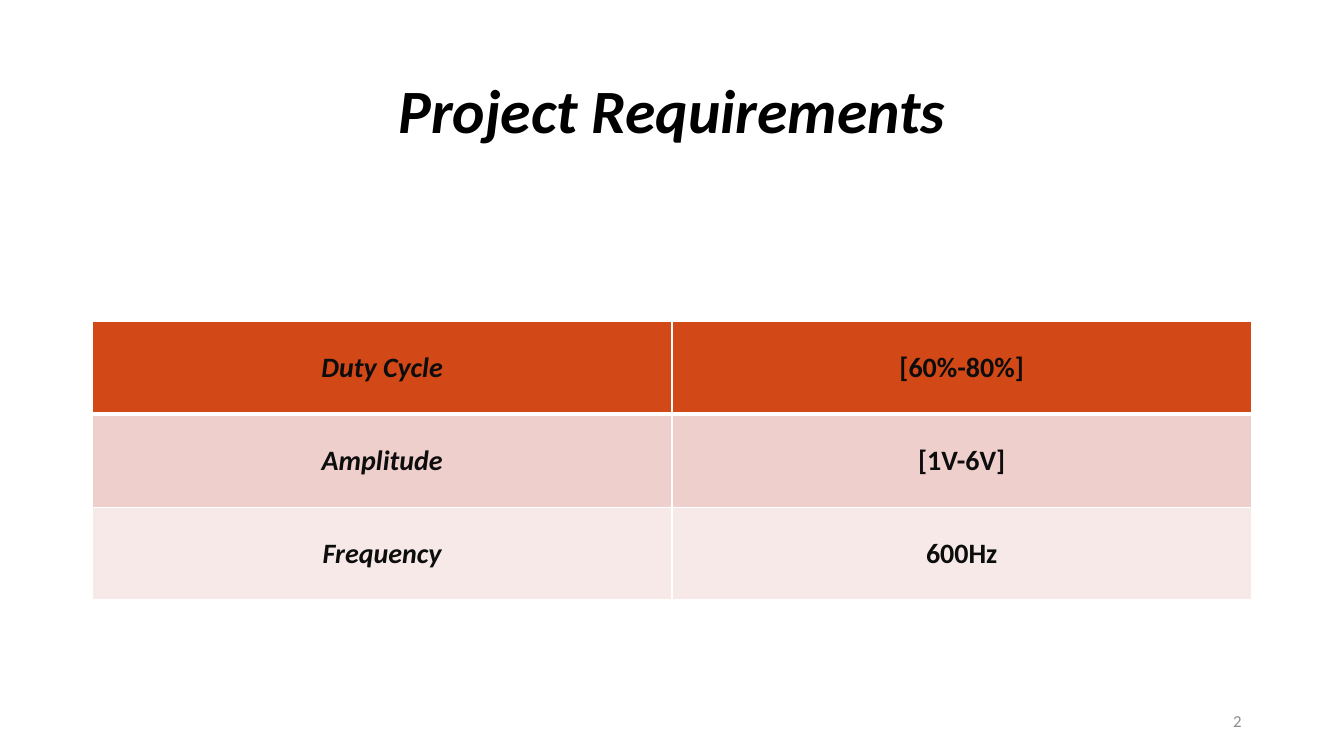
from dataclasses import dataclass

from lxml import etree
from pptx import Presentation
from pptx.dml.color import RGBColor
from pptx.enum.text import MSO_ANCHOR, PP_ALIGN
from pptx.oxml.ns import qn
from pptx.slide import Slide
from pptx.table import _Cell
from pptx.text.text import TextFrame
from pptx.util import Cm, Pt

CENTER, RIGHT = PP_ALIGN.CENTER, PP_ALIGN.RIGHT
MIDDLE = MSO_ANCHOR.MIDDLE

BLACK = RGBColor(0x00, 0x00, 0x00)
WHITE = RGBColor(0xFF, 0xFF, 0xFF)
INK = RGBColor(0x0D, 0x0D, 0x0D)
GRAY = RGBColor(0x8C, 0x8C, 0x8C)
ORANGE = RGBColor(0xD3, 0x48, 0x17)
ROSE = RGBColor(0xEF, 0xCF, 0xCC)
PALE_ROSE = RGBColor(0xF7, 0xE9, 0xE8)

FONT = "Calibri"
LEFT, WIDTH = 2.33, 29.21
ROW_HEIGHT = 2.34


@dataclass
class Requirement:
    name: str
    value: str
    fill: RGBColor
    top_line: float = 1
    bottom_line: float = 1


REQUIREMENTS = [
    Requirement("Duty Cycle", "[60%-80%]", ORANGE, bottom_line=3),
    Requirement("Amplitude", "[1V-6V]", ROSE, top_line=3),
    Requirement("Frequency", "600Hz", PALE_ROSE),
]


def write_text(tf: TextFrame, text: str, *, size: float, color: RGBColor,
               align: PP_ALIGN = CENTER, bold: bool = False,
               italic: bool = False, spacing: float = 1.0) -> None:
    p = tf.paragraphs[0]
    p.alignment = align
    p.line_spacing = spacing
    r = p.add_run()
    r.text = text
    r.font.name = FONT
    r.font.size = Pt(size)
    r.font.bold = bold
    r.font.italic = italic
    r.font.color.rgb = color


def add_box(s: Slide, left: float, top: float, width: float,
            height: float) -> TextFrame:
    tf = s.shapes.add_textbox(Cm(left), Cm(top), Cm(width), Cm(height)).text_frame
    tf.word_wrap = True
    tf.vertical_anchor = MIDDLE
    return tf


def set_borders(cell: _Cell, top: float, bottom: float) -> None:
    tc_pr = cell._tc.get_or_add_tcPr()
    for side, width in (("L", 1), ("R", 1), ("T", top), ("B", bottom)):
        ln = etree.SubElement(tc_pr, qn(f"a:ln{side}"), w=str(Pt(width)))
        fill = etree.SubElement(ln, qn("a:solidFill"))
        etree.SubElement(fill, qn("a:srgbClr"), val=str(WHITE))


def add_requirements(s: Slide) -> None:
    table = s.shapes.add_table(len(REQUIREMENTS), 2, Cm(LEFT), Cm(8.1), Cm(WIDTH),
                               Cm(ROW_HEIGHT * len(REQUIREMENTS))).table
    for row, req in zip(table.rows, REQUIREMENTS):
        row.height = Cm(ROW_HEIGHT)
        for cell, text, italic in zip(row.cells, (req.name, req.value), (True, False)):
            cell.vertical_anchor = MIDDLE
            set_borders(cell, req.top_line, req.bottom_line)
            cell.fill.solid()
            cell.fill.fore_color.rgb = req.fill
            write_text(cell.text_frame, text, size=20, color=INK, bold=True,
                       italic=italic)


def main() -> None:
    prs = Presentation()
    prs.slide_width, prs.slide_height = Cm(33.87), Cm(19.05)
    s = prs.slides.add_slide(prs.slide_layouts[6])
    write_text(add_box(s, LEFT, 1.01, WIDTH, 3.68), "Project Requirements",
               size=44, color=BLACK, bold=True, italic=True, spacing=0.9)
    add_requirements(s)
    write_text(add_box(s, 23.92, 17.66, 7.62, 1.01), "2", size=12, color=GRAY,
               align=RIGHT)
    prs.save("out.pptx")


if __name__ == "__main__":
    main()
